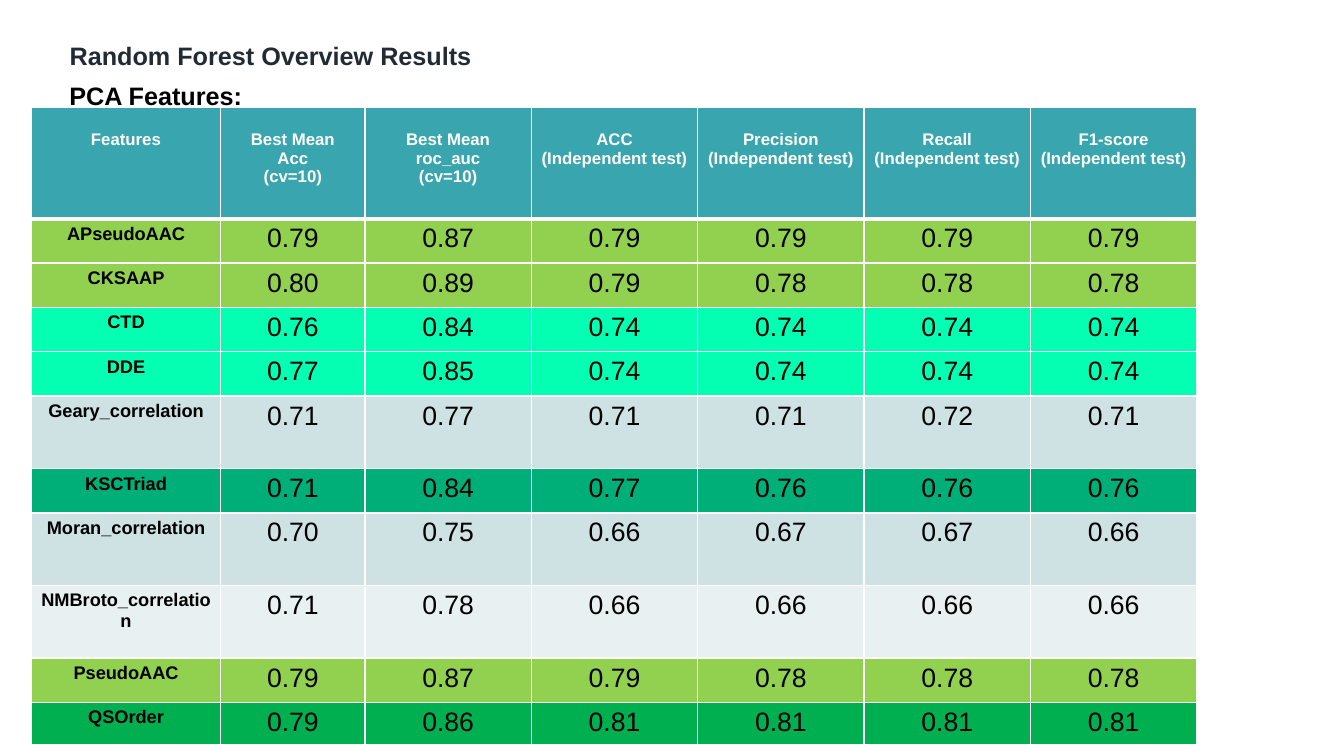
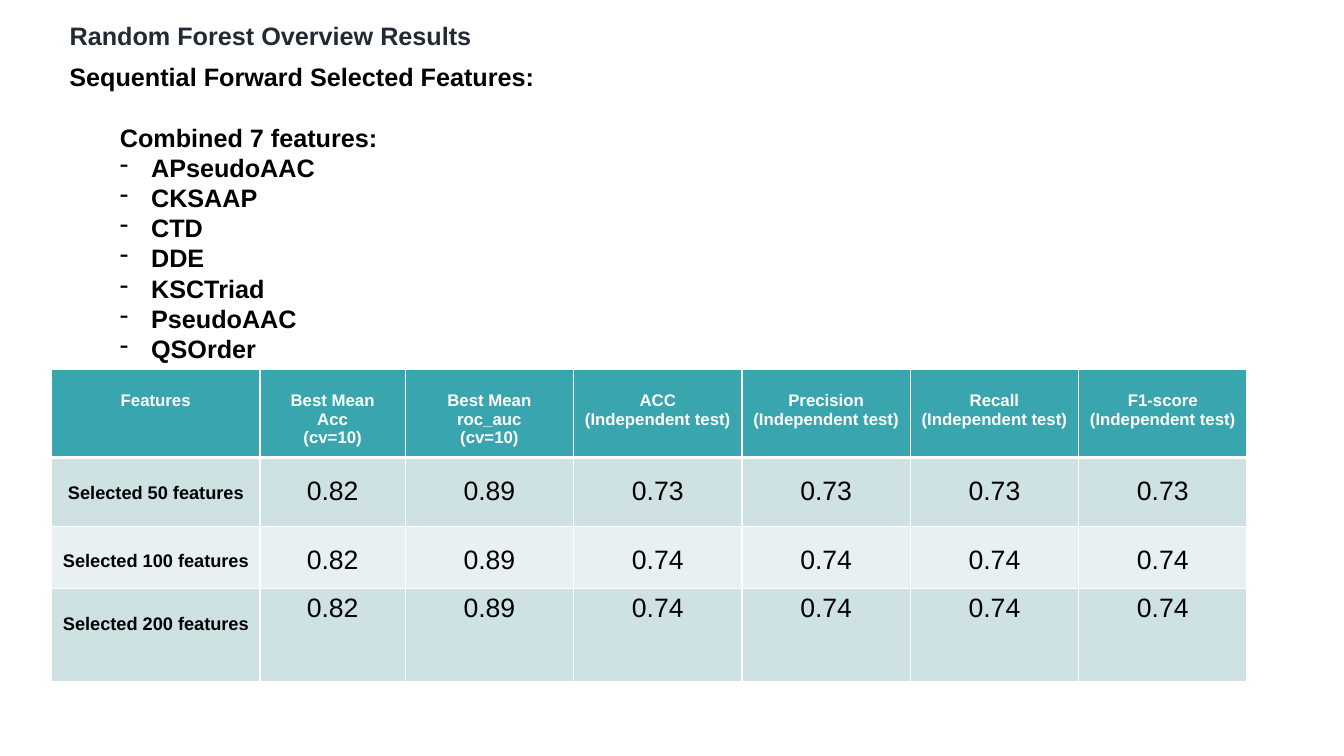
from lxml.etree import SubElement
from pptx import Presentation
from pptx.dml.color import RGBColor
from pptx.enum.text import MSO_ANCHOR, MSO_AUTO_SIZE, PP_ALIGN
from pptx.oxml.ns import qn
from pptx.util import Inches, Pt

FONT = "Arial"
BLACK = RGBColor(0x00, 0x00, 0x00)
WHITE = RGBColor(0xFF, 0xFF, 0xFF)
NAVY = RGBColor(0x22, 0x2A, 0x35)
TEAL = RGBColor(0x39, 0xA5, 0xAE)
BAND_DARK = RGBColor(0xCE, 0xE1, 0xE3)
BAND_LIGHT = RGBColor(0xE8, 0xF0, 0xF2)
LIME = RGBColor(0x92, 0xD0, 0x50)
MINT = RGBColor(0x05, 0xFF, 0xB2)
JADE = RGBColor(0x00, 0xAE, 0x78)
GREEN = RGBColor(0x00, 0xB0, 0x50)

TITLE = "Random Forest Overview Results"
TEXT_LEFT = 0.59
BODY_LINE = Pt(21.6)
HEADERS = ["Features", "Best Mean\nAcc\n(cv=10)", "Best Mean\nroc_auc\n(cv=10)"] + [
    f"{score}\n(Independent test)" for score in ("ACC", "Precision", "Recall", "F1-score")
]

# Label, row height, fill, scores
PCA_ROWS = [
    ("APseudoAAC", 0.44, LIME, "0.79 0.87 0.79 0.79 0.79 0.79"),
    ("CKSAAP", 0.44, LIME, "0.80 0.89 0.79 0.78 0.78 0.78"),
    ("CTD", 0.44, MINT, "0.76 0.84 0.74 0.74 0.74 0.74"),
    ("DDE", 0.44, MINT, "0.77 0.85 0.74 0.74 0.74 0.74"),
    ("Geary_correlation", 0.72, BAND_DARK, "0.71 0.77 0.71 0.71 0.72 0.71"),
    ("KSCTriad", 0.44, JADE, "0.71 0.84 0.77 0.76 0.76 0.76"),
    ("Moran_correlation", 0.72, BAND_DARK, "0.70 0.75 0.66 0.67 0.67 0.66"),
    ("NMBroto_correlation", 0.72, BAND_LIGHT, "0.71 0.78 0.66 0.66 0.66 0.66"),
    ("PseudoAAC", 0.44, LIME, "0.79 0.87 0.79 0.78 0.78 0.78"),
    ("QSOrder", 0.42, GREEN, "0.79 0.86 0.81 0.81 0.81 0.81"),
]
SELECTED_ROWS = [
    ("Selected 50 features", 0.68, BAND_DARK, "0.82 0.89 0.73 0.73 0.73 0.73"),
    ("Selected 100 features", 0.62, BAND_LIGHT, "0.82 0.89 0.74 0.74 0.74 0.74"),
    ("Selected 200 features", 0.92, BAND_DARK, "0.82 0.89 0.74 0.74 0.74 0.74"),
]
COMBINED_FEATURES = ["APseudoAAC", "CKSAAP", "CTD", "DDE", "KSCTriad", "PseudoAAC", "QSOrder"]


def style(paragraph, size, color, bold=True):
    font = paragraph.font
    font.name, font.size, font.bold = FONT, Pt(size), bold
    font.color.rgb = color


def add_titled_slide(prs, top):
    slide = prs.slides.add_slide(prs.slide_layouts[5])
    title = slide.shapes.title
    title.left, title.top = Inches(TEXT_LEFT), Inches(top)
    title.width, title.height = Inches(9.45), Inches(0.4)
    frame = title.text_frame
    frame.text = TITLE
    frame.auto_size = MSO_AUTO_SIZE.NONE
    frame.vertical_anchor = MSO_ANCHOR.TOP
    frame.paragraphs[0].alignment = PP_ALIGN.LEFT
    style(frame.paragraphs[0], 18, NAVY)
    return slide


def add_body(slide, top, height, lines):
    box = slide.shapes.add_textbox(Inches(TEXT_LEFT), Inches(top), Inches(11.01), Inches(height))
    frame = box.text_frame
    frame.word_wrap = True
    frame.text = "\n".join(lines)
    for paragraph in frame.paragraphs:
        paragraph.line_spacing = BODY_LINE
        style(paragraph, 18, BLACK)
    return frame.paragraphs


def indent(paragraph, left, bullet=None, hanging=0):
    props = paragraph._p.get_or_add_pPr()
    props.set("marL", str(Inches(left)))
    props.set("indent", str(-Inches(hanging)))
    if bullet:
        mark = props.makeelement(qn("a:buChar"), {"char": bullet})
        props.insert_element_before(mark, "a:tabLst", "a:defRPr", "a:extLst")


def set_borders(cell, top, bottom):
    """Draw white borders; the sides are always 1 pt. Call before the cell is filled."""
    props = cell._tc.get_or_add_tcPr()
    for side, width in (("L", 1), ("R", 1), ("T", top), ("B", bottom)):
        line = SubElement(props, qn(f"a:ln{side}"), w=str(Pt(width)))
        SubElement(SubElement(line, qn("a:solidFill")), qn("a:srgbClr"), val=str(WHITE))


def fill_cell(cell, text, fill, size, color, bold, margin_top):
    cell.fill.solid()
    cell.fill.fore_color.rgb = fill
    cell.margin_top = Inches(margin_top)
    cell.text = text
    for paragraph in cell.text_frame.paragraphs:
        paragraph.alignment = PP_ALIGN.CENTER
        style(paragraph, size, color, bold)


def add_score_table(slide, left, top, col_widths, header_height, rows, label_top=0.05,
                    score_tops=None):
    """label_top and score_tops (one per row) are the space above the text in a cell."""
    score_tops = score_tops or [0.05] * len(rows)
    heights = [header_height] + [row[1] for row in rows]
    table = slide.shapes.add_table(
        len(heights), len(col_widths), Inches(left), Inches(top),
        Inches(sum(col_widths)), Inches(sum(heights))).table
    table.horz_banding = False
    for column, width in zip(table.columns, col_widths):
        column.width = Inches(width)
    for r, height in enumerate(heights):
        table.rows[r].height = Inches(height)
        for c in range(len(col_widths)):
            cell = table.cell(r, c)
            cell.margin_left = cell.margin_right = Inches(0.08 if c else 0.1)
            set_borders(cell, top=3 if r == 1 else 1, bottom=3 if r == 0 else 1)

    for c, header in enumerate(HEADERS):
        fill_cell(table.cell(0, c), header, TEAL, 12, WHITE, True, 0.22)
    for r, (label, _, fill, scores) in enumerate(rows, start=1):
        fill_cell(table.cell(r, 0), label, fill, 13, BLACK, True, label_top)
        for c, score in enumerate(scores.split(), start=1):
            fill_cell(table.cell(r, c), score, fill, 19, BLACK, False, score_tops[r - 1])


def add_pca_slide(prs):
    slide = add_titled_slide(prs, 0.35)
    add_body(slide, 0.75, 0.4, ["PCA Features:"])
    add_score_table(slide, 0.31, 1.07, [1.88, 1.43] + [1.65] * 5, 1.1, PCA_ROWS)


def add_selection_slide(prs):
    slide = add_titled_slide(prs, 0.15)
    lines = ["Sequential Forward Selected Features:", "Combined 7 features:"]
    _, combined, *features = add_body(slide, 0.56, 3.43, lines + COMBINED_FEATURES)
    combined.space_before = BODY_LINE
    indent(combined, 0.5)
    for feature in features:
        indent(feature, 0.81, "-", 0.31)
    add_score_table(slide, 0.51, 3.66, [2.07, 1.44] + [1.67] * 5, 0.88, SELECTED_ROWS,
                    label_top=0.25, score_tops=[0.19, 0.19, 0.05])


def main():
    prs = Presentation()
    prs.slide_width, prs.slide_height = Inches(13.33), Inches(7.5)
    add_pca_slide(prs)
    add_selection_slide(prs)
    prs.save("out.pptx")


if __name__ == "__main__":
    main()
